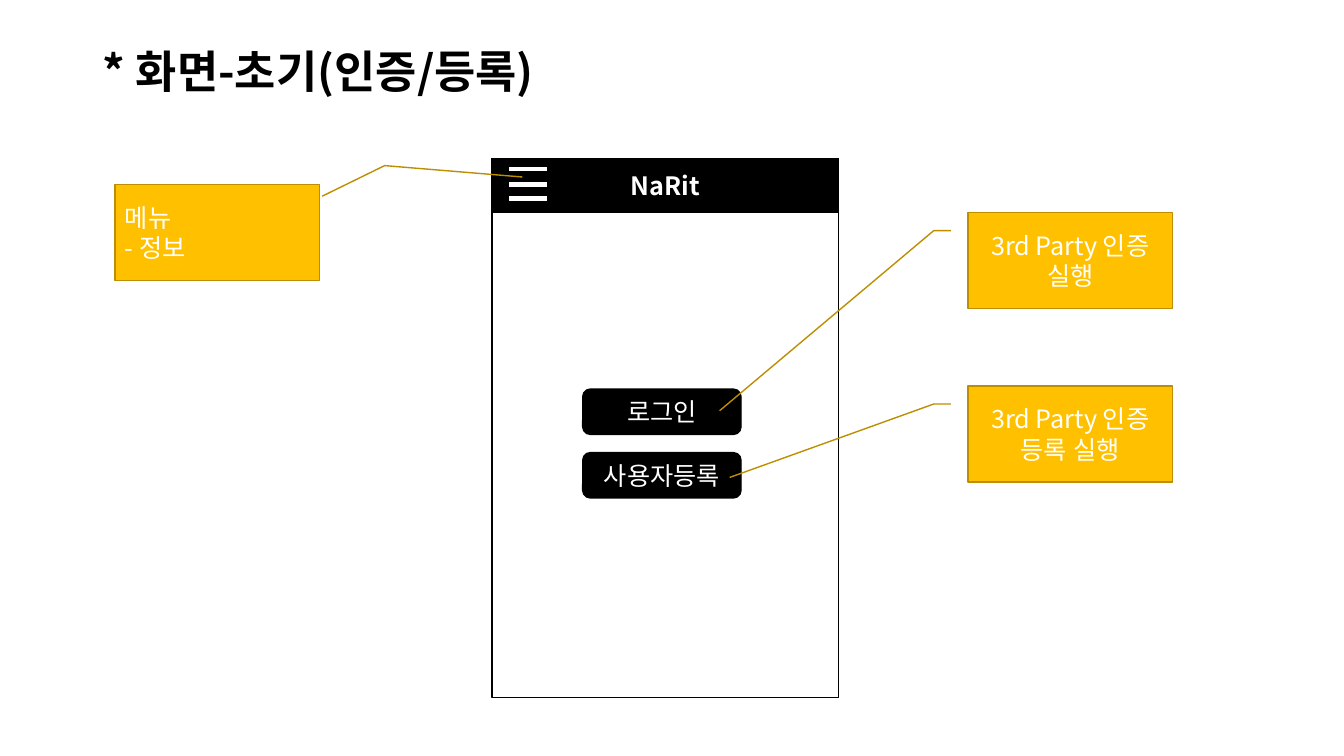
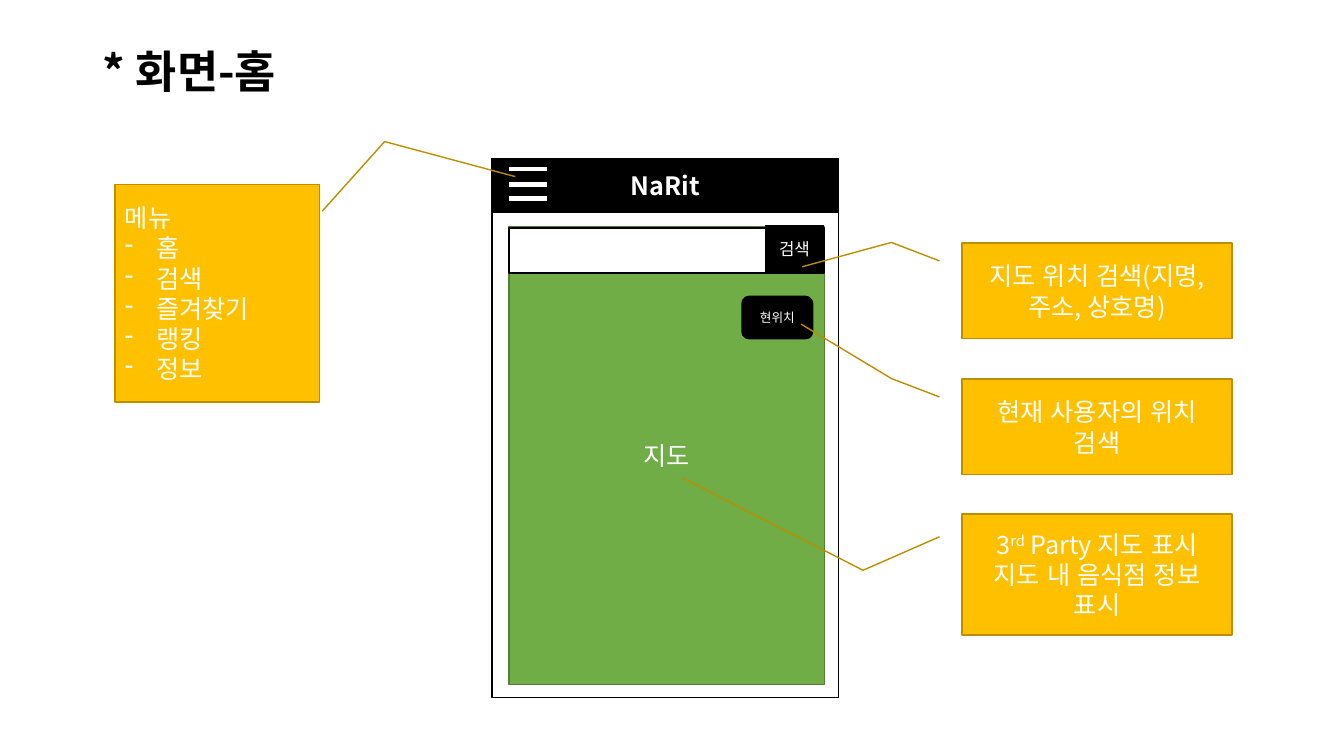
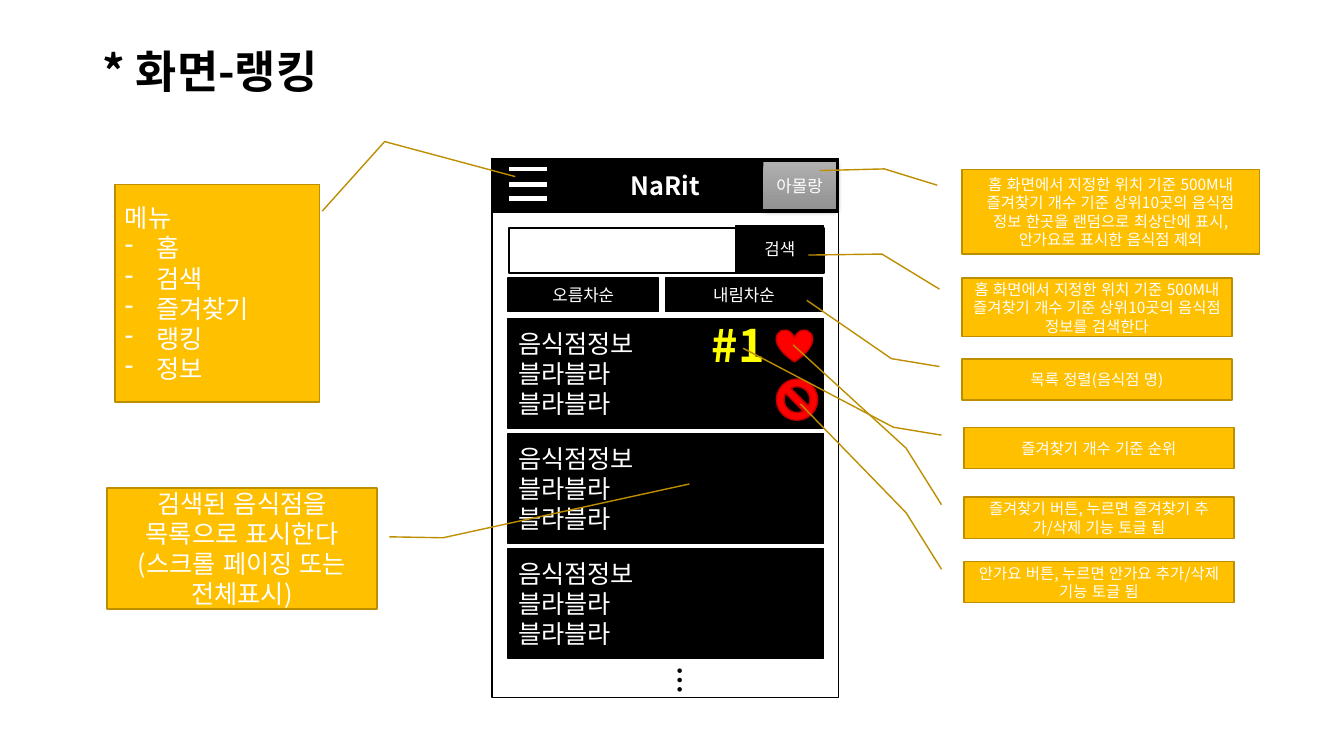
import pptx
import pptx.dml.color
import pptx.enum.lang
import pptx.enum.shapes
import pptx.enum.text
import pptx.oxml
import pptx.oxml.ns
import pptx.util
from dataclasses import dataclass

Inches = pptx.util.Inches
Pt = pptx.util.Pt
Shape = pptx.enum.shapes.MSO_SHAPE
Align = pptx.enum.text.PP_ALIGN
Anchor = pptx.enum.text.MSO_ANCHOR
AutoSize = pptx.enum.text.MSO_AUTO_SIZE


@dataclass(frozen=True)
class Theme:
    font: str = "Noto Sans CJK KR"
    black: str = "000000"
    white: str = "FFFFFF"
    callout: str = "FFC000"
    callout_line: str = "BD8E00"
    map: str = "70AD47"
    map_line: str = "538035"
    red: str = "FF0000"
    red_line: str = "C00000"
    rank: str = "FFFF00"
    gray_top: str = "AFAFAF"
    gray_bottom: str = "939393"
    title_size: int = 32
    dots_size: int = 20
    body_size: int = 18
    label_size: int = 12
    note_size: int = 11
    tiny_size: int = 9


THEME = Theme()

APP_NAME = "NaRit"
PHONE = (4.88, 1.57, 3.44, 5.35)
HEADER_HEIGHT = 0.54
MENU_BAR_X = (5.05, 5.43)
MENU_BAR_Y = (1.68, 1.83, 1.97)
SEARCH_LEFT, SEARCH_RIGHT = 5.05, 8.17

# Leader points are (down, across) fractions of the callout box.
LEFT_START = (0.188, -0.083)
MENU_START, MENU_BEND = (0.123, 1.013), (-0.197, 1.318)
SHORT_BEND = (-0.005, -0.261)
STEEP_BEND = (-1.181, -0.214)

MENU_ITEMS = ["메뉴", "홈", "검색", "즐겨찾기", "랭킹", "정보"]
CARD_LINES = ["음식점정보", "블라블라", "블라블라"]

# Each callout: paragraphs, box, bend, tip. ^ marks superscript.
LOGIN_CALLOUTS = [
    (["3rd Party 인증 실행"], (9.6, 2.11, 2.03, 0.95), (0.188, -0.167), (2.068, -1.213)),
    (["3rd Party 인증 등록 실행"], (9.6, 3.83, 2.03, 0.95), (0.188, -0.167), (0.954, -1.164)),
]
HOME_CALLOUTS = [
    (["지도 위치 검색(지명, 주소, 상호명)"], (9.54, 2.41, 2.68, 0.95), SHORT_BEND, (0.249, -0.591)),
    (["현재 사용자의 위치 검색"], (9.54, 3.76, 2.68, 0.95), SHORT_BEND, (-0.573, -0.595)),
    (["3^rd^ Party 지도 표시", "지도 내 음식점 정보 표시"], (9.54, 5.1, 2.68, 1.2),
     (0.465, -0.366), (-0.296, -1.032)),
]
RANKING_CALLOUTS = [
    (["홈 화면에서 지정한 위치 기준 500M내 즐겨찾기 개수 기준 상위10곳의 음식점 정보 한곳을 "
      "랜덤으로 최상단에 표시, 안가요로 표시한 음식점 제외"],
     (9.54, 1.68, 2.95, 0.84), SHORT_BEND, (0.015, -0.478)),
    (["홈 화면에서 지정한 위치 기준 500M내 즐겨찾기 개수 기준 상위10곳의 음식점 정보를 검색한다"],
     (9.54, 2.76, 2.68, 0.58), (-0.413, -0.296), (-0.396, -0.568)),
    (["목록 정렬(음식점 명)"], (9.54, 3.56, 2.68, 0.41), SHORT_BEND, (-1.416, -0.574)),
    (["즐겨찾기 개수 기준 순위"], (9.56, 4.24, 2.68, 0.41), SHORT_BEND, (-1.917, -0.817)),
    (["즐겨찾기 버튼, 누르면 즐겨찾기 추가/삭제 기능 토글 됨"],
     (9.56, 4.93, 2.68, 0.41), STEEP_BEND, (-3.681, -0.632)),
    (["안가요 버튼, 누르면 안가요 추가/삭제 기능 토글 됨"],
     (9.56, 5.57, 2.68, 0.41), STEEP_BEND, (-3.812, -0.605)),
]


def rgb(color):
    return pptx.dml.color.RGBColor.from_string(color)


def append_xml(parent, tag, content="", **attributes):
    written = "".join(f' {name}="{value}"' for name, value in attributes.items())
    namespace = pptx.oxml.ns.nsdecls("a")
    parent.append(pptx.oxml.parse_xml(f"<a:{tag} {namespace}{written}>{content}</a:{tag}>"))


def style_paragraph(paragraph, size, color, bold=False, align=Align.LEFT):
    paragraph.alignment = align
    font = paragraph.font
    font.size, font.bold, font.name = Pt(size), bold, THEME.font
    font.language_id = pptx.enum.lang.MSO_LANGUAGE_ID.KOREAN
    font.color.rgb = rgb(color)
    append_xml(paragraph._p.pPr.find(pptx.oxml.ns.qn("a:defRPr")), "ea", typeface=THEME.font)


def write_text(frame, lines, size, color=THEME.white, bold=False, align=Align.CENTER,
               bulleted=False):
    """Write one paragraph a line; when bulleted, all but the first get a dash."""
    for index, line in enumerate(lines):
        paragraph = frame.add_paragraph() if index else frame.paragraphs[0]
        for position, part in enumerate(line.split("^")):
            run = paragraph.add_run()
            run.text = part
            if position % 2:
                run._r.get_or_add_rPr().set("baseline", "30000")
        if bulleted and index:
            properties = paragraph._p.get_or_add_pPr()
            properties.set("marL", str(Inches(0.31)))
            properties.set("indent", str(-Inches(0.31)))
            append_xml(properties, "buChar", char="-")
        style_paragraph(paragraph, size, color, bold, align)


def add_box(shapes, box, lines=(), size=THEME.body_size, kind=Shape.RECTANGLE,
            fill=THEME.black, line=THEME.black, width=1, **text_style):
    shape = shapes.add_shape(kind, *map(Inches, box))
    shape.shadow.inherit = False
    if fill:
        shape.fill.solid()
        shape.fill.fore_color.rgb = rgb(fill)
    else:
        shape.fill.background()
    shape.line.color.rgb = rgb(line)
    shape.line.width = Pt(width)
    shape.text_frame.word_wrap = True
    write_text(shape.text_frame, lines, size, **text_style)
    return shape


def add_callout(slide, lines, box, bend, tip, start=LEFT_START, **style):
    shape = add_box(slide.shapes, box, lines, kind=Shape.LINE_CALLOUT_2,
                    fill=THEME.callout, line=THEME.callout_line, **style)
    for index, value in enumerate((*start, *bend, *tip)):
        shape.adjustments[index] = value


def add_menu_callout(slide, lines, height, tip, bulleted):
    add_callout(slide, lines, (1.14, 1.83, 2.03, height), MENU_BEND, tip, MENU_START,
                align=Align.LEFT, bulleted=bulleted)


def add_label(slide, box, text, size, color):
    label = slide.shapes.add_textbox(*map(Inches, box))
    label.text_frame.word_wrap = False
    label.text_frame.auto_size = AutoSize.SHAPE_TO_FIT_TEXT
    write_text(label.text_frame, [text], size, color, bold=True, align=Align.LEFT)
    return label


def add_phone(slide):
    shapes = slide.shapes.add_group_shape().shapes
    left, top, width, _ = PHONE
    add_box(shapes, PHONE, fill=None)
    add_box(shapes, (left, top, width, HEADER_HEIGHT), [APP_NAME], bold=True)
    start, end = map(Inches, MENU_BAR_X)
    for y in map(Inches, MENU_BAR_Y):
        bar = shapes.add_connector(pptx.enum.shapes.MSO_CONNECTOR.STRAIGHT, start, y, end, y)
        bar.line.color.rgb = rgb(THEME.white)
        bar.line.width = Pt(3)
        append_xml(bar._element.spPr, "effectLst")


def add_search(slide, button_left):
    add_box(slide.shapes, (SEARCH_LEFT, 2.26, SEARCH_RIGHT - SEARCH_LEFT, 0.45),
            fill=THEME.white, width=1.5)
    add_box(slide.shapes, (button_left, 2.24, SEARCH_RIGHT - button_left, 0.46),
            ["검색"], THEME.label_size)


def add_random_button(slide):
    button = add_box(slide.shapes, (7.57, 1.61, 0.72, 0.46), ["아몰랑"], THEME.label_size)
    button.line.fill.background()
    button.fill.gradient()
    button.fill.gradient_angle = 270
    for stop, color in zip(button.fill.gradient_stops, (THEME.gray_top, THEME.gray_bottom)):
        stop.color.rgb = rgb(color)
    effects = button._element.spPr.find(pptx.oxml.ns.qn("a:effectLst"))
    append_xml(effects, "outerShdw",
               f'<a:srgbClr val="{THEME.black}"><a:alpha val="63000"/></a:srgbClr>',
               blurRad=Pt(4.5), dist=Pt(1.5), dir=5400000, algn="ctr", rotWithShape=0)


def add_screen(presentation, title):
    """Add a slide with its title and the empty phone."""
    slide = presentation.slides.add_slide(presentation.slide_layouts.get_by_name("Title Only"))
    heading = slide.shapes.title
    heading.left, heading.top, heading.width, heading.height = map(Inches, (0.92, 0.4, 11.5, 0.67))
    frame = heading.text_frame
    frame.word_wrap, frame.auto_size = True, AutoSize.NONE
    frame.vertical_anchor = Anchor.MIDDLE
    frame.paragraphs[0].line_spacing = 0.9
    write_text(frame, [title], THEME.title_size, THEME.black, bold=True, align=Align.LEFT)
    add_phone(slide)
    return slide


def build_login(presentation):
    slide = add_screen(presentation, "* 화면-초기(인증/등록)")
    for index, label in enumerate(("로그인", "사용자등록")):
        add_box(slide.shapes, (5.78, 3.86 + index * 0.63, 1.57, 0.45), [label],
                kind=Shape.ROUNDED_RECTANGLE)
    for callout in LOGIN_CALLOUTS:
        add_callout(slide, *callout)
    add_menu_callout(slide, ["메뉴", "- 정보"], 0.95, (-0.078, 1.991), bulleted=False)


def build_home(presentation):
    slide = add_screen(presentation, "* 화면-홈")
    add_box(slide.shapes, (5.05, 2.25, 3.13, 4.54), ["지도"], fill=THEME.map, line=THEME.map_line)
    add_box(slide.shapes, (7.36, 2.94, 0.7, 0.42), ["현위치"], THEME.tiny_size,
            kind=Shape.ROUNDED_RECTANGLE)
    add_search(slide, 7.59)
    add_menu_callout(slide, MENU_ITEMS, 2.16, (-0.036, 1.956), bulleted=True)
    for callout in HOME_CALLOUTS:
        add_callout(slide, *callout)


def build_ranking(presentation):
    slide = add_screen(presentation, "* 화면-랭킹")
    add_search(slide, 7.3)
    for label, left, width in (("오름차순", 5.04, 1.49), ("내림차순", 6.6, 1.56)):
        add_box(slide.shapes, (left, 2.76, width, 0.33), [label], THEME.label_size)
    for index in range(3):
        add_box(slide.shapes, (5.04, 3.16 + index * 1.14, 3.13, 1.09), CARD_LINES,
                align=Align.LEFT)
    for kind, box in ((Shape.HEART, (7.7, 3.27, 0.36, 0.32)),
                      (Shape.NO_SYMBOL, (7.7, 3.76, 0.41, 0.41))):
        add_box(slide.shapes, box, kind=kind, fill=THEME.red, line=THEME.red_line)
    add_label(slide, (6.96, 3.1, 0.73, 0.64), "#1", THEME.title_size, THEME.rank)
    more = add_label(slide, (6.52, 6.52, 0.45, 0.44), "…", THEME.dots_size, THEME.black)
    more.rotation = 90
    add_random_button(slide)
    add_menu_callout(slide, MENU_ITEMS, 2.16, (-0.036, 1.956), bulleted=True)
    add_callout(slide, ["검색된 음식점을 목록으로 표시한다(스크롤 페이징 또는 전체표시)"],
                (1.06, 4.84, 2.68, 1.2), (0.413, 1.244), (-0.032, 2.156), (0.405, 1.046))
    for callout in RANKING_CALLOUTS:
        add_callout(slide, *callout, size=THEME.note_size)


def main():
    presentation = pptx.Presentation()
    presentation.slide_width, presentation.slide_height = Inches(13.33), Inches(7.5)
    for build in (build_login, build_home, build_ranking):
        build(presentation)
    presentation.save("out.pptx")


if __name__ == "__main__":
    main()
